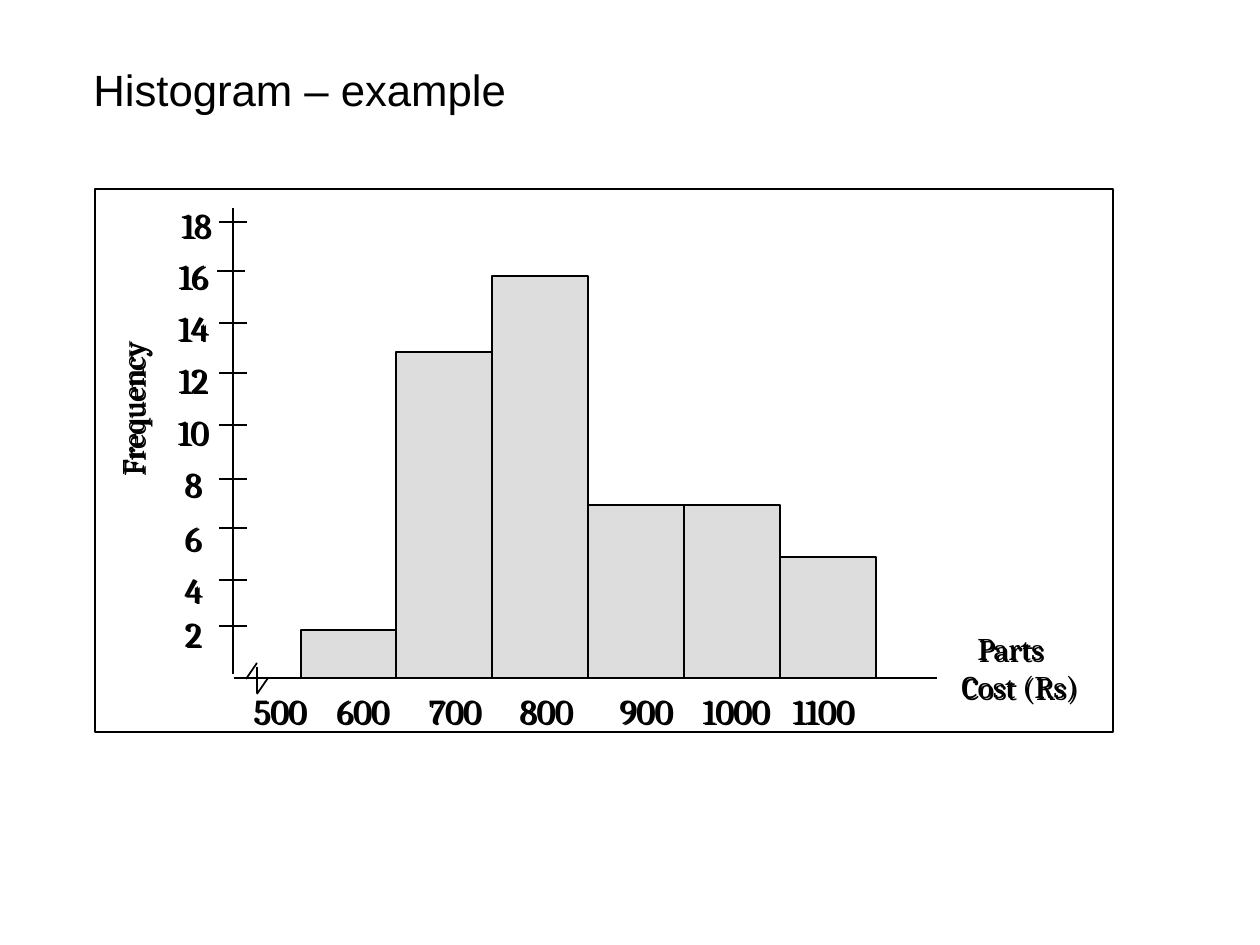
from lxml.etree import SubElement
from pptx import Presentation
from pptx.dml.color import RGBColor
from pptx.enum.shapes import MSO_CONNECTOR, MSO_SHAPE
from pptx.enum.text import MSO_ANCHOR, PP_ALIGN
from pptx.oxml.ns import qn
from pptx.util import Pt

EMU_PER_PX = 914400 / 126
BLACK = "000000"
BAR_GREY = "DDDDDD"
BASELINE = 678
TITLE_FONT = {"name": "Arial", "size": Pt(25)}
SCALE_FONT = {"name": "Cambria", "size": Pt(20)}
CAPTION_FONT = {"name": "Cambria", "size": Pt(18)}

FREQUENCY_SCALE = [
    ("2", 219, 626, 161, 606),
    ("4", 219, 580, 161, 562),
    ("6", 219, 528, 161, 510),
    ("8", 219, 479, 161, 456),
    ("10", 219, 425, 161, 404),
    ("12", 219, 373, 161, 352),
    ("14", 219, 323, 161, 300),
    ("16", 217, 271, 161, 248),
    ("18", 219, 222, 164, 197),
]
BAR_TOPS = [630, 352, 276, 505, 505, 557]
COSTS = ["500", "600", "700", "800", "900", "1000", "1100"]
COST_STOPS = [83, 175, 266, 366, 449, 539]
AXES = [(234, BASELINE, 937, BASELINE), (233, 674, 233, 208)]
AXIS_BREAK = [(246, 679, 257, 663), (257, 694, 268, 678), (257, 667, 257, 693)]


def px(length):
    return round(length * EMU_PER_PX)


def color(value):
    return RGBColor.from_string(value)


def apply(target, values):
    for name, value in values.items():
        setattr(target, name, value)


def add_box(slide, bounds, fill=None):
    box = slide.shapes.add_shape(MSO_SHAPE.RECTANGLE, *map(px, bounds))
    box.shadow.inherit = False
    if fill:
        box.fill.solid()
        box.fill.fore_color.rgb = color(fill)
    else:
        box.fill.background()
    box.line.color.rgb = color(BLACK)
    box.line.width = Pt(1)


def add_line(slide, ends):
    line = slide.shapes.add_connector(MSO_CONNECTOR.STRAIGHT, *map(px, ends))
    line.line.color.rgb = color(BLACK)
    line.line.width = Pt(1)
    SubElement(line._element.spPr, qn("a:effectLst"))


def add_text(slide, bounds, lines, font, align=PP_ALIGN.LEFT, **frame_format):
    label = slide.shapes.add_textbox(*map(px, bounds))
    frame = label.text_frame
    apply(frame, {"word_wrap": True, **frame_format})
    frame.text = "\n".join(lines)
    for paragraph in frame.paragraphs:
        paragraph.alignment = align
        apply(paragraph.font, font)
        paragraph.font.color.rgb = color(BLACK)
        for run in paragraph.runs:
            apply(run.font, font)
            run.font.color.rgb = color(BLACK)
    return label


def add_text_shadow(label):
    label.shadow.inherit = False
    effects = label._element.spPr.find(qn("a:effectLst"))
    shadow = SubElement(effects, qn("a:outerShdw"), dist="17961", dir="2700000")
    SubElement(shadow, qn("a:srgbClr"), val=BLACK)


def set_tab_stops(paragraph, stops):
    properties = paragraph._p.get_or_add_pPr()
    tabs = properties.makeelement(qn("a:tabLst"))
    properties.append(tabs)
    for stop in stops:
        SubElement(tabs, qn("a:tab"), pos=str(px(stop)), algn="l")
    defaults = properties.find(qn("a:defRPr"))
    if defaults is not None:
        properties.append(defaults)


def add_frequency_axis(slide):
    for value, tick_left, tick_y, label_left, label_top in FREQUENCY_SCALE:
        add_line(slide, (tick_left, tick_y, tick_left + 28, tick_y))
        add_text_shadow(add_text(slide, (label_left, label_top, 64, 54), [value],
                                 SCALE_FONT, PP_ALIGN.CENTER))
    caption = add_text(slide, (39, 383, 185, 50), ["Frequency"], CAPTION_FONT,
                       PP_ALIGN.CENTER, word_wrap=False)
    caption.rotation = 270
    add_text_shadow(caption)


def add_bars(slide):
    edges = [301 + 575 * i // len(BAR_TOPS) for i in range(len(BAR_TOPS) + 1)]
    for left, right, top in zip(edges, edges[1:], BAR_TOPS):
        add_box(slide, (left, top, right - left, BASELINE - top), BAR_GREY)


def add_cost_axis(slide):
    costs = add_text(slide, (241, 683, 722, 54), ["\t".join(COSTS)], SCALE_FONT)
    set_tab_stops(costs.text_frame.paragraphs[0], COST_STOPS)
    add_text_shadow(costs)
    caption = add_text(slide, (949, 623, 152, 92), ["Parts", "Cost (Rs)"],
                       CAPTION_FONT, word_wrap=False)
    parts = caption.text_frame.paragraphs[0]
    parts._p.get_or_add_pPr().set("indent", str(px(16)))
    add_text_shadow(caption)


def main():
    presentation = Presentation()
    apply(presentation, {"slide_width": px(1260), "slide_height": px(945)})
    slide = presentation.slides.add_slide(presentation.slide_layouts[6])
    add_text(slide, (81, 60, 1148, 58), ["Histogram – example"], TITLE_FONT,
             vertical_anchor=MSO_ANCHOR.MIDDLE)
    add_box(slide, (95, 189, 1018, 543))
    for ends in AXES:
        add_line(slide, ends)
    add_frequency_axis(slide)
    add_bars(slide)
    add_cost_axis(slide)
    for ends in AXIS_BREAK:
        add_line(slide, ends)
    presentation.save("out.pptx")


if __name__ == "__main__":
    main()
